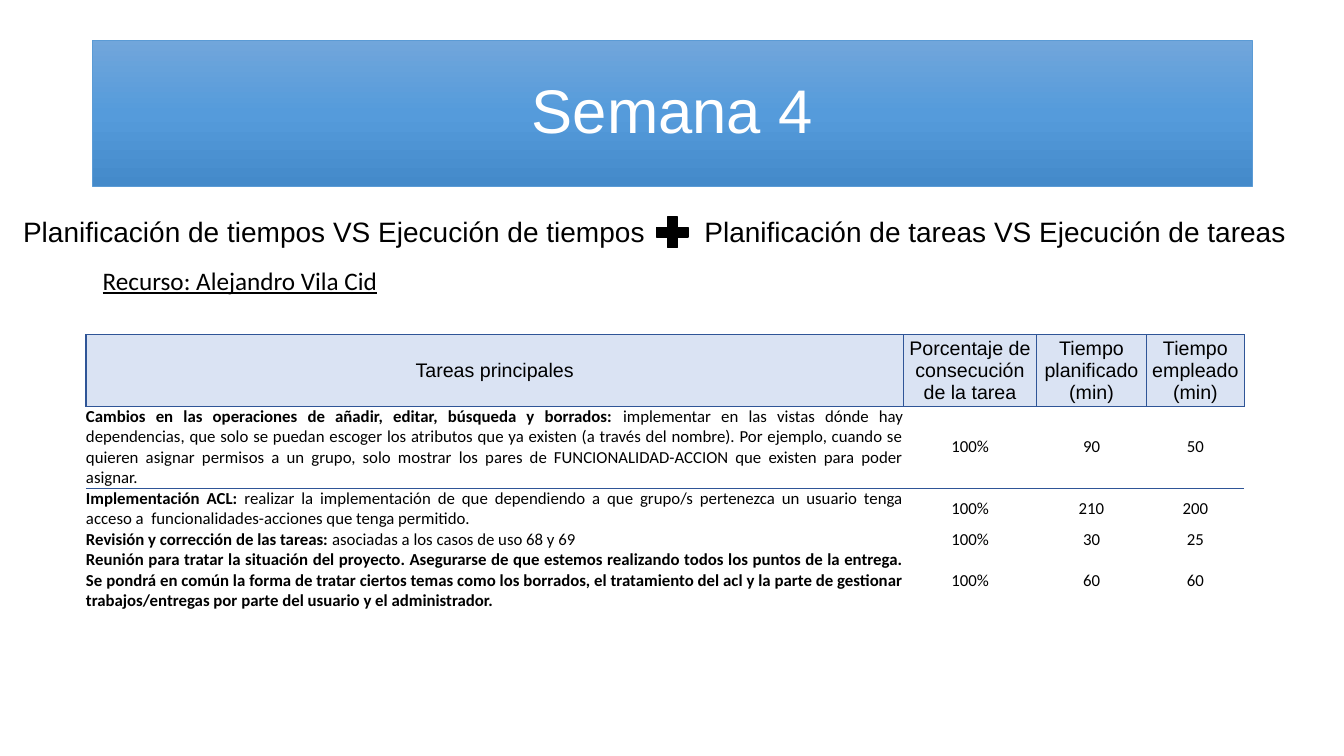
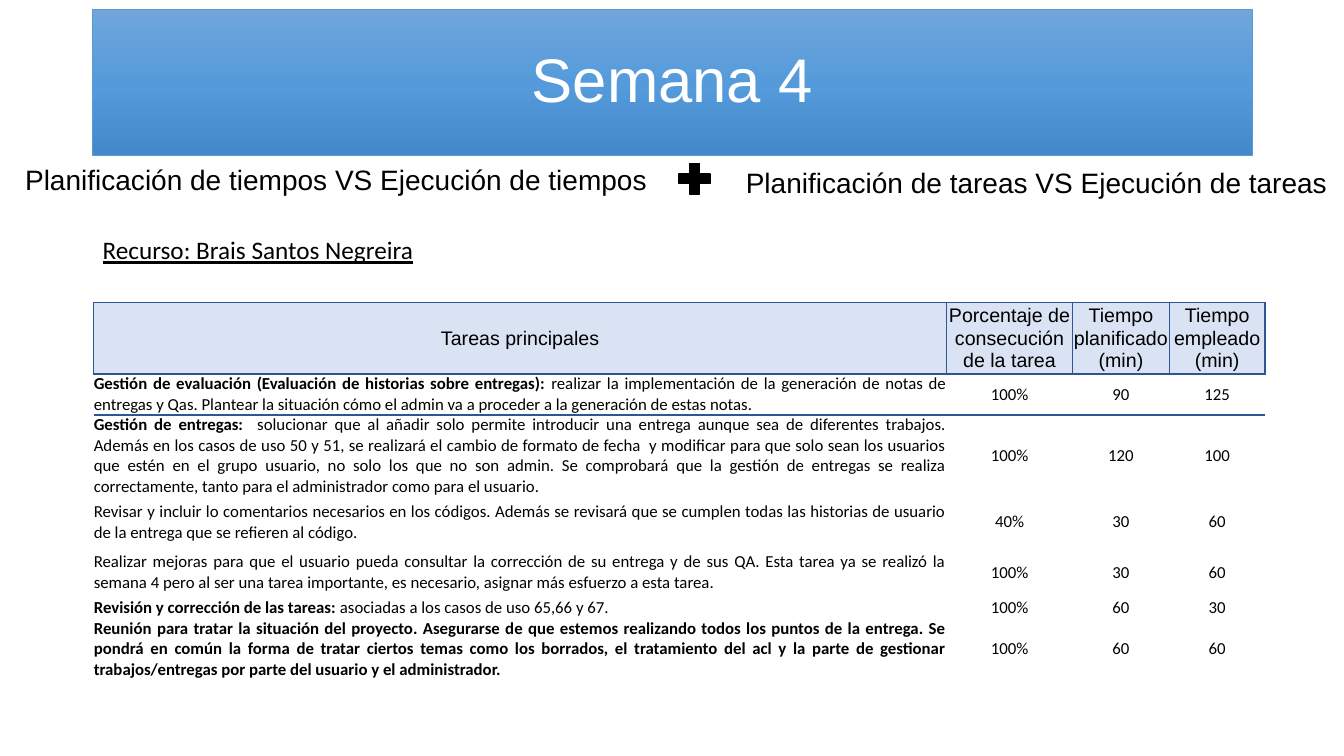
import copy
import dataclasses
import typing

import pptx
import pptx.dml.color
import pptx.enum.shapes
import pptx.enum.text
import pptx.oxml
import pptx.oxml.ns
import pptx.util

WIDE = pptx.util.Inches(13.333)
HIGH = pptx.util.Inches(7.5)

HUES = {
    "black": "000000",
    "white": "FFFFFF",
    "head": "DAE3F3",
    "rule": "2F5597",
    "edge": "5B9BD5",
}
BLEND = ((0, "71A6DB"), (0.5, "559BDB"), (1, "448ACA"))

ALIGN = pptx.enum.text.PP_ALIGN
MIDDLE = pptx.enum.text.MSO_ANCHOR.MIDDLE
SHAPE = pptx.enum.shapes.MSO_SHAPE
Pt = pptx.util.Pt

FONTS = {
    "title": {"name": "Arial", "size": Pt(44)},
    "topic": {"name": "Arial", "size": Pt(20)},
    "person": {"name": "Calibri", "size": Pt(18), "underline": True},
    "head": {"name": "Arial", "size": Pt(14)},
    "body": {"name": "Calibri", "size": Pt(12)},
    "lead": {"name": "Calibri", "size": Pt(12), "bold": True},
}
FRAME = {
    "word_wrap": True,
    "auto_size": pptx.enum.text.MSO_AUTO_SIZE.SHAPE_TO_FIT_TEXT,
}
CELL = {
    "margin_left": 0,
    "margin_right": 0,
    "margin_top": 0,
    "margin_bottom": 0,
    "vertical_anchor": MIDDLE,
}
GRID = {"first_row": False, "horz_banding": False}

# Row heights, in percent of the slide's height
HEAD_ROW = 9.47
TEXT_LINE = 2.71
TALL = 2.46

HEADS = (
    "Tareas principales",
    "Porcentaje de consecución de la tarea",
    "Tiempo planificado (min)",
    "Tiempo empleado (min)",
)
TIMES = "Planificación de tiempos VS Ejecución de tiempos"
TASKS = "Planificación de tareas VS Ejecución de tareas"


class Box(typing.NamedTuple):
    """Left, top, width and height in percent of the slide."""
    left: float
    top: float
    width: float
    height: float

    def place(self) -> tuple[int, ...]:
        sides = (WIDE, HIGH, WIDE, HIGH)
        return tuple(round(part * side / 100) for part, side in zip(self, sides))


@dataclasses.dataclass
class Task:
    lead: str
    text: str
    lines: float
    done: str
    plan: str
    used: str


@dataclasses.dataclass
class Week:
    person: str
    title_top: float
    person_top: float
    times: tuple[float, float]
    plus: tuple[float, float]
    tasks: tuple[float, float]
    table: tuple[float, float]
    cols: tuple[float, ...]
    rows: list[Task]


MEETING = Task(
    "Reunión para tratar la situación del proyecto. Asegurarse de que estemos "
    "realizando todos los puntos de la entrega. Se pondrá en común la forma de "
    "tratar ciertos temas como los borrados, el tratamiento del acl y la parte de "
    "gestionar trabajos/entregas por parte del usuario y el administrador. ",
    "", 3, "100%", "60", "60")

WEEKS = [
    Week(
        "Alejandro Vila Cid", 5.33, 34.4,
        times=(0.98, 27.73), plus=(48.45, 28), tasks=(51.67, 27.73),
        table=(6.4, 44.27), cols=(60.83, 9.9, 8.18, 7.28),
        rows=[
            Task("Cambios en las operaciones de añadir, editar, búsqueda y borrados: ",
                 "implementar en las vistas dónde hay dependencias, que solo se puedan "
                 "escoger los atributos que ya existen (a través del nombre). Por "
                 "ejemplo, cuando se quieren asignar permisos a un grupo, solo mostrar "
                 "los pares de FUNCIONALIDAD-ACCION que existen para poder asignar.",
                 4, "100%", "90", "50"),
            Task("Implementación ACL: ",
                 "realizar la implementación de que dependiendo a que grupo/s "
                 "pertenezca un usuario tenga acceso a  funcionalidades-acciones que "
                 "tenga permitido.",
                 2, "100%", "210", "200"),
            Task("Revisión y corrección de las tareas:",
                 " asociadas a los casos de uso 68 y 69", 1, "100%", "30", "25"),
            MEETING,
        ]),
    Week(
        "Brais Santos Negreira", 1.2, 30.4,
        times=(1.13, 20.8), plus=(50.1, 20.93), tasks=(54.75, 21.2),
        table=(6.98, 40), cols=(63.45, 9.38, 7.2, 7.12),
        rows=[
            Task("Gestión de evaluación (Evaluación de historias sobre entregas): ",
                 "realizar la implementación de la generación de notas de entregas y "
                 "Qas. Plantear la situación cómo el admin va a proceder a la "
                 "generación de estas notas.",
                 2, "100%", "90", "125"),
            Task("Gestión de entregas:  ",
                 "solucionar que al añadir solo permite introducir una entrega aunque "
                 "sea de diferentes trabajos. Además en los casos de uso 50 y 51, se "
                 "realizará el cambio de formato de fecha  y modificar para que solo "
                 "sean los usuarios que estén en el grupo usuario, no solo los que no "
                 "son admin. Se comprobará que la gestión de entregas se realiza "
                 "correctamente, tanto para el administrador como para el usuario.",
                 4, "100%", "120", "100"),
            Task("",
                 "Revisar y incluir lo comentarios necesarios en los códigos. Además "
                 "se revisará que se cumplen todas las historias de usuario de la "
                 "entrega que se refieren al código.",
                 TALL, "40%", "30", "60"),
            Task("",
                 "Realizar mejoras para que el usuario pueda consultar la corrección "
                 "de su entrega y de sus QA. Esta tarea ya se realizó la semana 4 pero "
                 "al ser una tarea importante, es necesario, asignar más esfuerzo a "
                 "esta tarea.",
                 TALL, "100%", "30", "60"),
            Task("Revisión y corrección de las tareas: ",
                 "asociadas a los casos de uso 65,66 y 67.", 1, "100%", "60", "30"),
            MEETING,
        ]),
]


def tint(name: str) -> pptx.dml.color.RGBColor:
    return pptx.dml.color.RGBColor.from_string(HUES.get(name, name))


def put(thing: typing.Any, values: dict) -> None:
    for key, value in values.items():
        setattr(thing, key, value)


def write(frame, parts: list[tuple[str, str]], align=ALIGN.LEFT, hue="black"):
    """Fill the first paragraph with (text, font key) runs."""
    para = frame.paragraphs[0]
    para.alignment = align
    for text, font in parts:
        if text:
            run = para.add_run()
            run.text = text
            put(run.font, FONTS[font])
            run.font.color.rgb = tint(hue)
    return para


def label(slide, box: Box, text: str, font: str) -> None:
    frame = slide.shapes.add_textbox(*box.place()).text_frame
    put(frame, FRAME)
    write(frame, [(text, font)])


def form(slide, kind, box: Box, edge: str, width: float):
    shape = slide.shapes.add_shape(kind, *box.place())
    shape.shadow.inherit = False
    shape.line.color.rgb = tint(edge)
    shape.line.width = Pt(width)
    return shape


def band(slide, top: float) -> None:
    shape = form(slide, SHAPE.RECTANGLE, Box(6.9, top, 86.25, 19.33), "edge", 0.5)
    shape.fill.gradient()
    shape.fill.gradient_angle = 270
    stops = shape._element.spPr.find(".//" + pptx.oxml.ns.qn("a:gsLst"))
    stops.append(copy.deepcopy(stops[0]))
    for stop, (spot, hue) in zip(shape.fill.gradient_stops, BLEND):
        stop.position = spot
        stop.color.rgb = tint(hue)
    shape.text_frame.vertical_anchor = MIDDLE
    para = write(shape.text_frame, [("Semana 4", "title")], ALIGN.CENTER, "white")
    para.line_spacing = 0.9


def rule(cell, sides: str) -> None:
    """Draw the cell borders named by letters, in the order LRTB."""
    props = cell._tc.get_or_add_tcPr()
    for spot, side in enumerate(sides):
        props.insert(spot, pptx.oxml.parse_xml(
            f'<a:ln{side} {pptx.oxml.ns.nsdecls("a")} w="12700"><a:solidFill>'
            f'<a:srgbClr val="{HUES["rule"]}"/></a:solidFill></a:ln{side}>'))


def fill_row(table, row: int, cells: list, first_align) -> None:
    for col, parts in enumerate(cells):
        cell = table.cell(row, col)
        put(cell, CELL)
        write(cell.text_frame, parts, ALIGN.CENTER if col else first_align)
        if row == 0:
            cell.fill.solid()
            cell.fill.fore_color.rgb = tint("head")
            rule(cell, "LRTB")
        else:
            cell.fill.background()
            rule(cell, "T" if row == 1 else "")


def chart_tasks(slide, week: Week) -> None:
    highs = [HEAD_ROW] + [task.lines * TEXT_LINE for task in week.rows]
    box = Box(*week.table, sum(week.cols), sum(highs))
    table = slide.shapes.add_table(
        len(highs), len(week.cols), *box.place()).table
    put(table, GRID)
    style = table._tbl.tblPr.find(pptx.oxml.ns.qn("a:tableStyleId"))
    style.text = "{2D5ABB26-0587-4C30-8999-92F81FD0307C}"
    for col, share in zip(table.columns, week.cols):
        col.width = round(share * WIDE / 100)
    for row, share in zip(table.rows, highs):
        row.height = round(share * HIGH / 100)
    fill_row(table, 0, [[(head, "head")] for head in HEADS], ALIGN.CENTER)
    for row, task in enumerate(week.rows, 1):
        cells = [[(task.lead, "lead"), (task.text, "body")]]
        cells += [[(value, "body")] for value in (task.done, task.plan, task.used)]
        fill_row(table, row, cells, ALIGN.JUSTIFY)


def draw(deck, week: Week) -> None:
    slide = deck.slides.add_slide(deck.slide_layouts[6])
    band(slide, week.title_top)
    label(slide, Box(6.9, week.person_top, 27.5, 5.33),
          f"Recurso: {week.person}", "person")
    chart_tasks(slide, week)
    label(slide, Box(*week.tasks, 45.3, 5.87), TASKS, "topic")
    label(slide, Box(*week.times, 48.52, 5.87), TIMES, "topic")
    plus = form(slide, SHAPE.MATH_PLUS, Box(*week.plus, 3.15, 5.47), "black", 1)
    plus.fill.solid()
    plus.fill.fore_color.rgb = tint("black")


def main() -> None:
    deck = pptx.Presentation()
    put(deck, {"slide_width": WIDE, "slide_height": HIGH})
    for week in WEEKS:
        draw(deck, week)
    deck.save("out.pptx")


if __name__ == "__main__":
    main()
